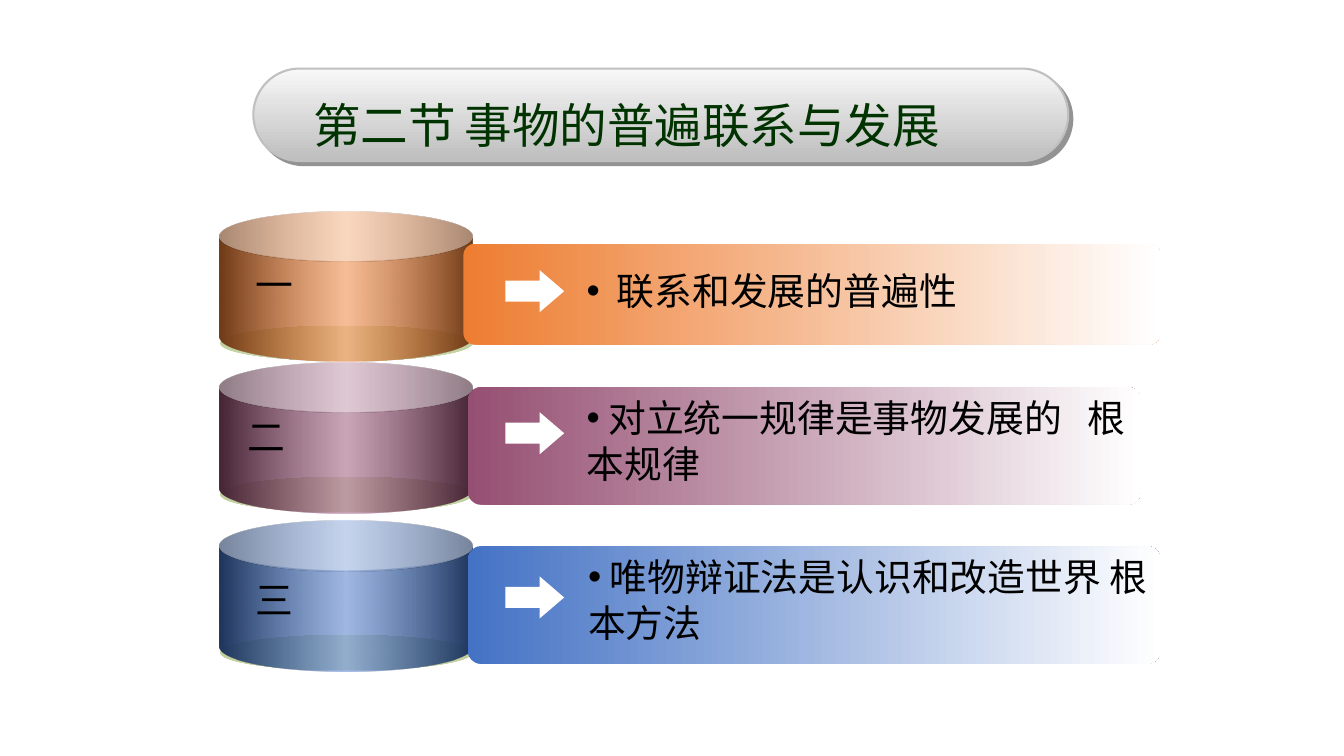
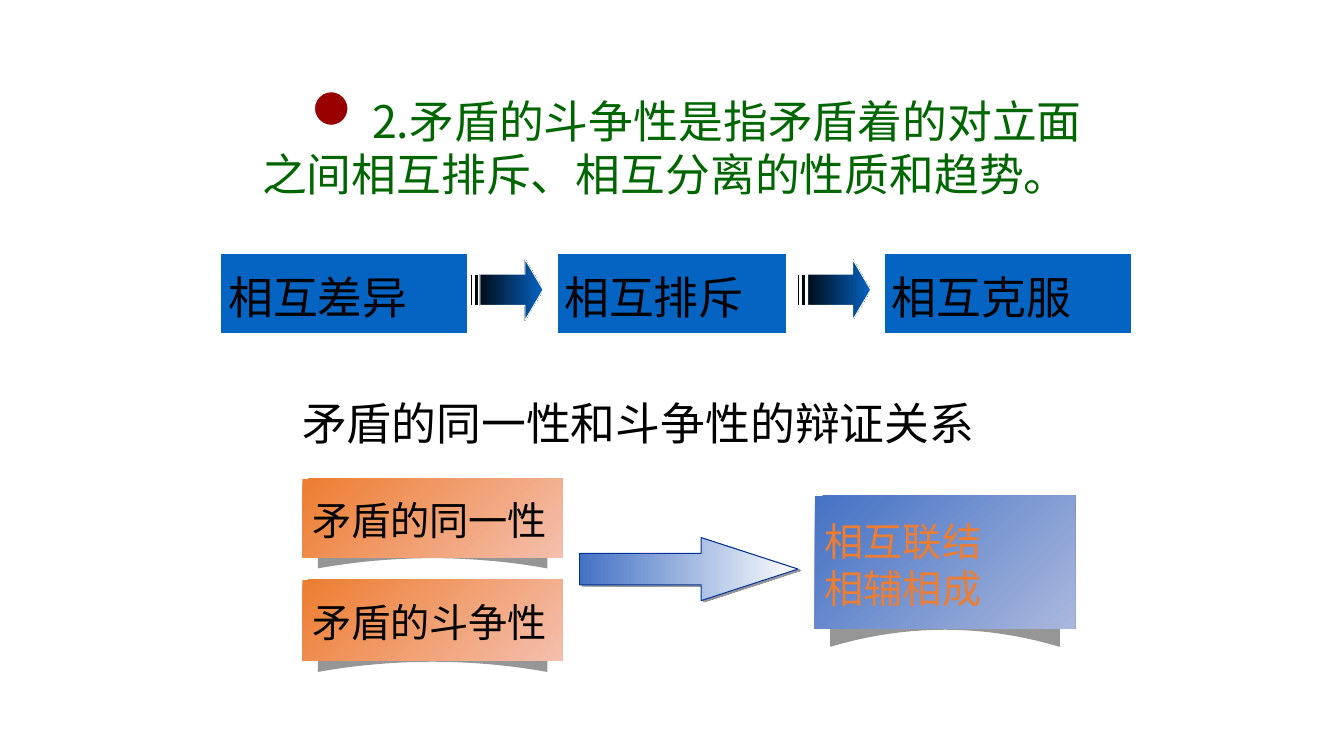
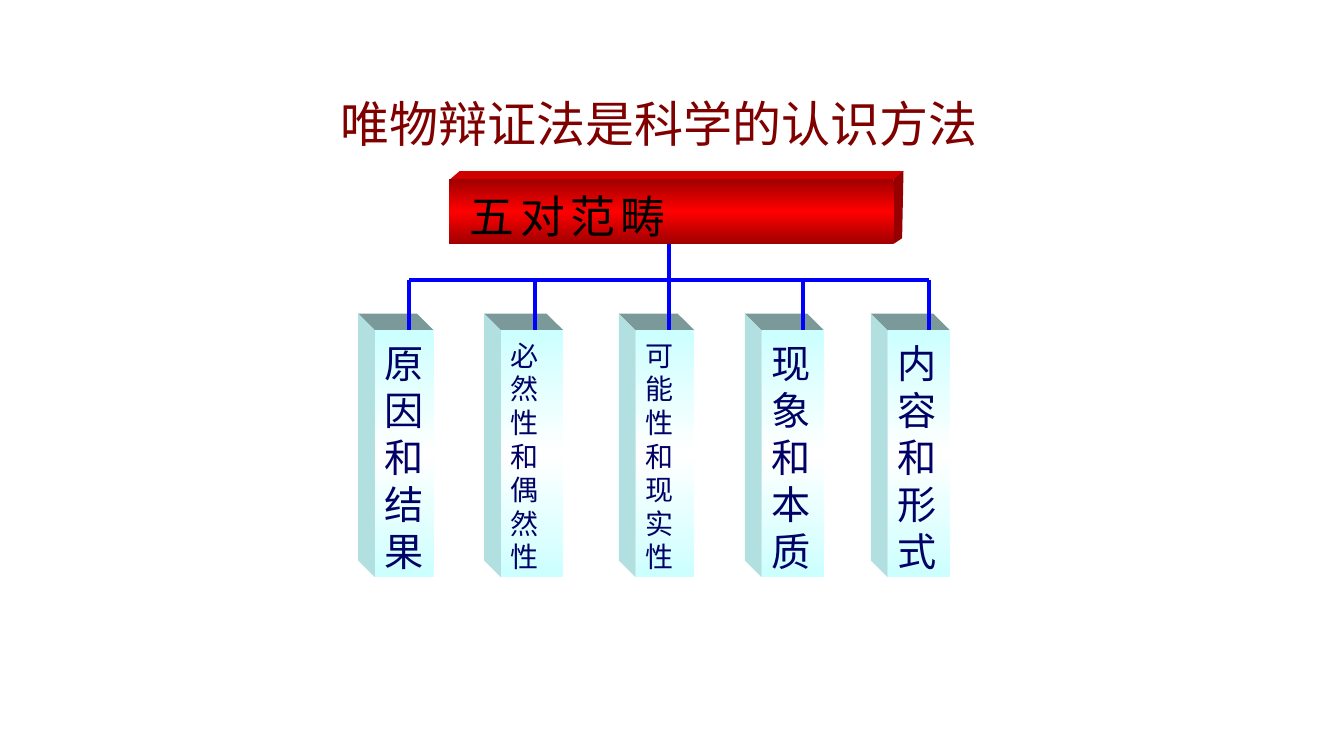
from lxml.etree import SubElement
from pptx import Presentation
from pptx.dml.color import RGBColor
from pptx.enum.shapes import MSO_CONNECTOR, MSO_SHAPE
from pptx.enum.text import MSO_ANCHOR, MSO_AUTO_SIZE, PP_ALIGN
from pptx.oxml.ns import qn
from pptx.util import Pt

COLORS = {
    "white": "FFFFFF", "black": "000000", "title green": "003300",
    "statement green": "006600", "title red": "800000", "dot": "990000",
    "orange": "ED7D31", "dark orange": "6E3A17", "pale orange": "F4BFAD",
    "plum": "954F72", "dark plum": "452535",
    "blue": "4472C4", "dark blue": "1F355B", "pale blue": "AAB7DC",
    "base": "C1CF9D", "pale base": "E5EBD5",
    "pill top": "F8F8F8", "pill bottom": "BEBEBE", "pill line": "C0C0C0",
    "pill shadow": "292929", "arrow shadow": "333333", "arrow line": "003399",
    "arrow end": "FEFEFE", "step": "0563C1", "curl": "969696",
    "tree line": "0000FF", "bar": "FF0000", "bar edge": "A00000",
    "bar top": "D00000", "bar side": "960000",
    "column": "CCFFFF", "column top": "7A9998", "column side": "B2DFDF",
    "column text": "000066",
}
SANS, SANS_JP = "Noto Sans CJK SC", "Noto Sans CJK JP"
INSET = 7.2


# Shared helpers
def rgb(name):
    return RGBColor.from_string(COLORS[name])


def apply(target, values):
    for key, value in values.items():
        setattr(target, key, value)


def add_color(parent, name, alpha=100):
    color = SubElement(parent, qn("a:srgbClr"), val=COLORS[name])
    if alpha < 100:
        SubElement(color, qn("a:alpha"), val=str(alpha * 1000))


def paint(shape, fill, angle=0, line=None, shadow=None):
    """fill is a colour name or a list of (position, colour[, alpha])."""
    shape.shadow.inherit = False
    if isinstance(fill, str):
        shape.fill.solid()
        shape.fill.fore_color.rgb = rgb(fill)
    else:
        shape.fill.gradient()
        gradient = shape._element.spPr.find(qn("a:gradFill"))
        for child in list(gradient):
            gradient.remove(child)
        stops = SubElement(gradient, qn("a:gsLst"))
        for position, *color in fill:
            add_color(SubElement(stops, qn("a:gs"), pos=str(position * 1000)), *color)
        SubElement(gradient, qn("a:lin"), ang=str(angle * 60000), scaled="0")
    if line:
        shape.line.color.rgb = rgb(line[0])
        shape.line.width = Pt(line[1])
    else:
        shape.line.fill.background()
    if shadow:
        color, alpha, distance, direction = shadow
        effects = shape._element.spPr.find(qn("a:effectLst"))
        outer = SubElement(effects, qn("a:outerShdw"), blurRad="0",
                           dist=str(Pt(distance)), dir=str(direction * 60000),
                           algn="ctr", rotWithShape="0")
        add_color(outer, color, alpha)


def add_block(slide, preset, box, fill, adjust=(), **style):
    shape = slide.shapes.add_shape(preset, *map(Pt, box))
    for index, value in enumerate(adjust):
        shape.adjustments[index] = value
    paint(shape, fill, **style)
    return shape


def add_outline(slide, points, fill):
    start, *others = [(Pt(x), Pt(y)) for x, y in points]
    builder = slide.shapes.build_freeform(*start)
    builder.add_line_segments(others, close=True)
    paint(builder.convert_to_shape(), fill)


def add_rule(slide, start, end):
    rule = slide.shapes.add_connector(MSO_CONNECTOR.STRAIGHT, *map(Pt, start + end))
    rule.line.color.rgb = rgb("tree line")
    rule.line.width = Pt(3)
    SubElement(rule._element.spPr, qn("a:effectLst"))


def write(shape, lines, size, font, color="black", shift=0, anchor=MSO_ANCHOR.TOP,
          first_indent=0, hang=0, bullet=False, tabs=()):
    frame = shape.text_frame
    apply(frame, {
        "word_wrap": True, "auto_size": MSO_AUTO_SIZE.NONE, "vertical_anchor": anchor,
        "margin_left": Pt(INSET + shift), "margin_right": Pt(INSET),
        "margin_top": Pt(3.6 + 0.1 * size), "margin_bottom": Pt(3.6),
    })
    for index, line in enumerate(lines.split("\n")):
        paragraph = frame.add_paragraph() if index else frame.paragraphs[0]
        properties = paragraph._p.get_or_add_pPr()
        properties.set("marL", str(Pt(hang)))
        properties.set("indent", str(Pt(first_indent - hang)))
        if bullet:
            SubElement(properties, qn("a:buFont"), typeface="Arial")
            SubElement(properties, qn("a:buChar"), char="•")
        if tabs:
            stops = SubElement(properties, qn("a:tabLst"))
            for stop in tabs:
                SubElement(stops, qn("a:tab"), pos=str(Pt(stop)), algn="l")
        apply(paragraph, {"alignment": PP_ALIGN.LEFT, "space_before": Pt(0),
                          "line_spacing": Pt(1.2 * size)})
        run = paragraph.add_run()
        run.text = line
        apply(run.font, {"size": Pt(size), "name": font, "bold": False})
        run.font.color.rgb = rgb(color)
        east_asian = font if font.startswith("Noto") else SANS
        SubElement(run._r.get_or_add_rPr(), qn("a:ea"), typeface=east_asian)


def add_text(slide, box, text, size, font, **style):
    write(slide.shapes.add_textbox(*map(Pt, box)), text, size, font, **style)


def add_title(slide, box, text, size, **style):
    title = slide.shapes.title
    apply(title, dict(zip(("left", "top", "width", "height"), map(Pt, box))))
    write(title, text, size, SANS_JP, **style)
    slide.shapes._spTree.append(title._element)


# Slide 1: section agenda
def add_agenda_row(slide, top, tone, label, text, bar, text_box, arrow_top):
    """Offsets inside bar, text_box, label and arrow_top count from the row top."""
    left, width = 157, 180.7
    dark = "dark " + tone
    add_block(slide, MSO_SHAPE.OVAL, (left, top + 81.4, width, 25.2),
              [(0, "base"), (50, "pale base"), (100, "base")])
    add_block(slide, MSO_SHAPE.CAN, (left, top, width, 107.3),
              [(0, dark), (50, tone, 50), (100, dark)], adjust=[0.332])
    bar_left, bar_top, bar_width, bar_height = bar
    add_block(slide, MSO_SHAPE.ROUNDED_RECTANGLE,
              (bar_left, top + bar_top, bar_width, bar_height),
              [(0, tone), (100, "white")], adjust=[0.115])
    numeral, shift, label_top = label
    add_text(slide, (163.4, top + label_top, 168, 40), numeral, 27, "Arial", shift=shift)
    add_block(slide, MSO_SHAPE.RIGHT_ARROW, (361, top + arrow_top, 42, 30),
              "white", adjust=[0.5, 0.583])
    text_left, text_top, text_width, text_height = text_box
    hang, tabs, words = text
    add_text(slide, (text_left, top + text_top, text_width, text_height), words, 27,
             "Arial", bullet=True, hang=hang, tabs=tabs)


def build_agenda(slide):
    rows = [
        (151.2, "orange", ("一", 12, 29.5), (21.4, (), "联系和发展的普遍性"),
         (331, 23, 498, 72), (412, 33.8, 369, 40), 41.8),
        (259.2, "plum", ("二", 6, 30.2), (0, (358,), " 对立统一规律是事物发展的\t根本规律"),
         (334, 17.3, 481, 84), (412, 16.6, 404, 73), 35.3),
        (372.2, "blue", ("三", 12, 33.2), (0, (), " 唯物辩证法是认识和改造世界 根本方法"),
         (334, 18, 495, 84), (413, 17.3, 426, 73), 39.6),
    ]
    for row in rows:
        add_agenda_row(slide, *row)
    add_block(slide, MSO_SHAPE.ROUNDED_RECTANGLE, (181, 49, 582, 66),
              [(0, "pill top"), (100, "pill bottom")], adjust=[0.5], angle=90,
              line=("pill line", 1.5), shadow=("pill shadow", 50, 4.2, 45))
    add_title(slide, (193.7, 61.2, 549, 48), "第二节\t事物的普遍联系与发展", 34,
              color="title green", shift=23, tabs=[124])


# Slide 2: struggle of opposites
def add_step(slide, left, width, text):
    step = add_block(slide, MSO_SHAPE.RECTANGLE, (left, 179.3, width, 61.2), "step",
                     line=("white", 4.5))
    write(step, text, 32, SANS, anchor=MSO_ANCHOR.MIDDLE)


def add_curled_card(slide, box, curl_height, overhang, tones, text, text_color):
    left, top, width, height = box
    curl_left, curl_right = left + 11, left + width - 11
    middle, half = (curl_left + curl_right) / 2, (curl_right - curl_left) / 2
    bottom = top + height + overhang
    rise = 0.265 * curl_height
    curve = [(middle - half * n / 10, bottom - rise * (1 - (n / 10) ** 2))
             for n in range(-10, 11)]
    roof = bottom - curl_height
    add_outline(slide, curve + [(curl_left, roof + rise), (middle, roof),
                                (curl_right, roof + rise)], "curl")
    card = add_block(slide, MSO_SHAPE.RECTANGLE, box,
                     [(0, tones[0]), (100, tones[1])], angle=45)
    write(card, text, 28, "Calibri", color=text_color, anchor=MSO_ANCHOR.MIDDLE)


def build_struggle(slide):
    add_title(slide, (180, 59.8, 612, 85),
              "2.矛盾的斗争性是指矛盾着的对立面之间相互排斥、相互分离的性质和趋势。",
              32, color="statement green", first_indent=78.6)
    add_block(slide, MSO_SHAPE.OVAL, (224.6, 65.5, 24, 24), "dot", line=("white", 0.75))

    # Steps and striped arrows
    for step in [(156, 180, "相互差异"), (396, 168, "相互排斥"), (630, 180, "相互克服")]:
        add_step(slide, *step)
    for left in (336, 570):
        add_block(slide, MSO_SHAPE.STRIPED_RIGHT_ARROW, (left, 185, 52, 44),
                  [(0, "black"), (100, "step")], adjust=[0.51, 0.295],
                  line=("white", 0.75))

    # Dialectical relation
    add_text(slide, (180, 275.8, 564, 46), "矛盾的同一性和斗争性的辩证关系", 32, SANS_JP,
             shift=28.6)
    orange, blue = ("orange", "pale orange"), ("blue", "pale blue")
    cards = [
        ((216, 342, 186, 56), 27.5, 8, orange, "矛盾的同一性", "black"),
        ((582, 354, 186, 95), 46, 13, blue, "相互联结\n相辅相成", "orange"),
        ((216, 414, 186, 58), 27.5, 8, orange, "矛盾的斗争性", "black"),
    ]
    for card in cards:
        add_curled_card(slide, *card)
    add_block(slide, MSO_SHAPE.RIGHT_ARROW, (414, 384, 156, 45),
              [(0, "blue"), (100, "arrow end")], adjust=[0.5, 1.536],
              line=("arrow line", 0.75), shadow=("arrow shadow", 50, 2.2, 27))


# Slide 3: five pairs of categories
def add_category_bar(slide, box):
    left, top, width, height = box
    right, bottom = left + width, top + height
    back_left, back_right, back_top = left + 8, right + 7, top - 6
    add_outline(slide, [(left + 1, top), (right + 1, top), (back_right, back_top),
                        (back_left, back_top)], "bar top")
    add_outline(slide, [(right, bottom), (right, top), (back_right, back_top),
                        (back_right - 1, bottom - 4)], "bar side")
    bar = add_block(slide, MSO_SHAPE.RECTANGLE, box,
                    [(0, "bar edge"), (50, "bar"), (100, "bar edge")], angle=90)
    write(bar, "五\t对\t范\t畴", 32, SANS, shift=8, tabs=[46.4 * n for n in (1, 2, 3)])


def add_column(slide, box, text, size):
    left, top, width, height = box
    right, bottom, depth = left + width, top + height, 12
    back_corner = (left - depth, top - depth)
    add_outline(slide, [(left, top), (right, top), (right - depth, top - depth),
                        back_corner], "column top")
    add_outline(slide, [(left, top), (left, bottom), (left - depth, bottom - depth),
                        back_corner], "column side")
    column = add_block(slide, MSO_SHAPE.RECTANGLE, box,
                       [(0, "column"), (50, "white"), (100, "column")], angle=90)
    write(column, text, size, "Times New Roman", color="column text")


def build_categories(slide):
    add_title(slide, (203.8, 59.8, 570, 50), "唯物辩证法是科学的认识方法", 35,
              color="title red", shift=32)
    trunk, branch_top, column_top = 478, 200, 236
    add_rule(slide, (trunk, 170), (trunk, branch_top))
    add_category_bar(slide, (320.4, 128.2, 318, 46))
    columns = [
        (267.8, 42, "原因和结果", 28, 292.3),
        (357.8, 44.6, "必然性和偶然性", 20, 382.3),
        (454, 42, "可能性和现实性", 20, trunk),
        (544, 44.6, "现象和本质", 28, 573.8),
        (634, 44.6, "内容和形式", 28, 663.8),
    ]
    for left, width, text, size, branch in columns:
        add_column(slide, (left, column_top, width, 176.4), text, size)
        add_rule(slide, (branch, branch_top), (branch, column_top))
    add_rule(slide, (columns[0][-1], branch_top), (columns[-1][-1], branch_top))


def main():
    deck = Presentation()
    apply(deck, {"slide_width": Pt(960), "slide_height": Pt(540)})
    title_only = deck.slide_layouts[5]
    for build in (build_agenda, build_struggle, build_categories):
        build(deck.slides.add_slide(title_only))
    deck.save("out.pptx")


if __name__ == "__main__":
    main()
